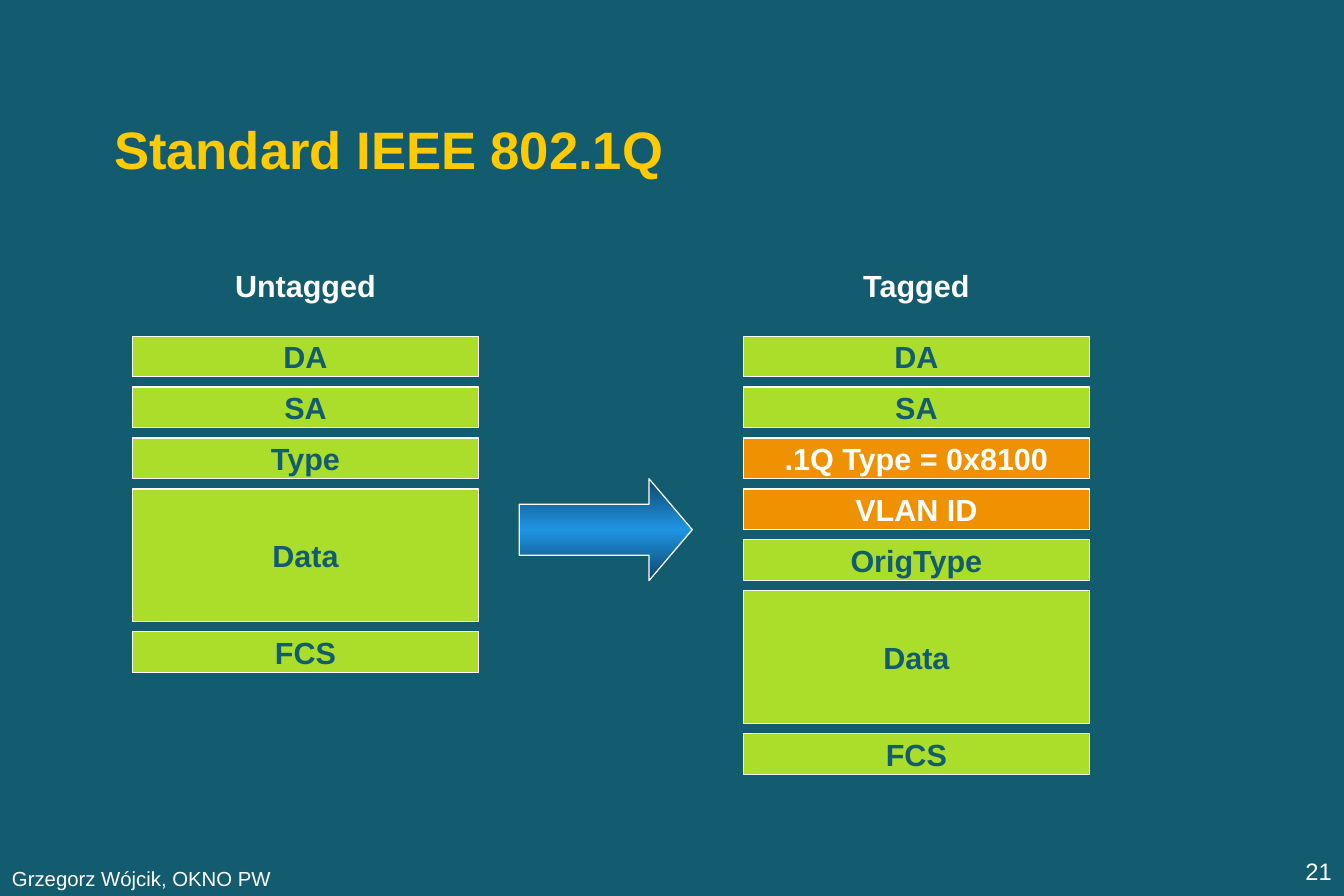
import copy
from dataclasses import dataclass

import pptx
import pptx.dml.color
import pptx.enum.shapes
import pptx.enum.text
import pptx.oxml.ns
import pptx.util

SHAPE = pptx.enum.shapes.MSO_SHAPE
ALIGN = pptx.enum.text.PP_ALIGN
WIDTH, HEIGHT = 11, 7.33
COLUMNS = 132
FIELD_WIDTH, FIELD_HEIGHT, DATA_HEIGHT, FIELD_GAP = 34, 4, 13, 1
HEADING_ROW, FIRST_FIELD_ROW = 26, 33


@dataclass(frozen=True)
class Theme:
    font: str = "Arial"
    background: str = "135C6F"
    title: str = "FFCA00"
    light: str = "FFFFFF"
    field: str = "ABDE2A"
    tag: str = "EF9100"
    arrow_edge: str = "0E456A"
    arrow_middle: str = "1F95E4"
    title_size: int = 31
    label_size: int = 18
    number_size: int = 14
    footer_size: int = 12
    line_width: float = 0.75


def rgb(value):
    return pptx.dml.color.RGBColor.from_string(value)


class FrameSlide:
    """Draws Ethernet frame layouts on a grid of 132 columns across the slide."""

    def __init__(self, presentation, theme):
        self.theme = theme
        self.cell = presentation.slide_width / COLUMNS
        self.slide = presentation.slides.add_slide(presentation.slide_layouts[5])
        background = self.slide.background.fill
        background.solid()
        background.fore_color.rgb = rgb(theme.background)

    def place(self, *cells):
        return [round(self.cell * count) for count in cells]

    def label(self, shape, text, size, color, align, bold=False, wrap=True, inset=0.1):
        frame = shape.text_frame
        frame.text = text
        frame.word_wrap = wrap
        frame.auto_size = pptx.enum.text.MSO_AUTO_SIZE.NONE
        frame.vertical_anchor = pptx.enum.text.MSO_ANCHOR.MIDDLE
        frame.margin_left = frame.margin_right = pptx.util.Inches(inset)
        frame.margin_top = frame.margin_bottom = pptx.util.Inches(0.05)
        paragraph = frame.paragraphs[0]
        paragraph.alignment = align
        font = paragraph.runs[0].font
        font.name, font.size, font.bold = self.theme.font, pptx.util.Pt(size), bold
        font.color.rgb = rgb(color)
        return paragraph

    def title(self, text, *cells):
        holder = self.slide.shapes.title
        holder.left, holder.top, holder.width, holder.height = self.place(*cells)
        paragraph = self.label(holder, text, self.theme.title_size, self.theme.title,
                               ALIGN.LEFT, bold=True)
        paragraph.line_spacing = 0.95

    def text(self, text, cells, size, align, **style):
        box = self.slide.shapes.add_textbox(*self.place(*cells))
        self.label(box, text, size, self.theme.light, align, **style)

    def outlined(self, preset, *cells):
        shape = self.slide.shapes.add_shape(preset, *self.place(*cells))
        shape.shadow.inherit = False
        shape.line.color.rgb = rgb(self.theme.light)
        shape.line.width = pptx.util.Pt(self.theme.line_width)
        return shape

    def field(self, text, column, row, height, tagged):
        theme = self.theme
        field = self.outlined(SHAPE.RECTANGLE, column, row, FIELD_WIDTH, height)
        field.fill.solid()
        field.fill.fore_color.rgb = rgb(theme.tag if tagged else theme.field)
        self.label(field, text, theme.label_size,
                   theme.light if tagged else theme.background,
                   ALIGN.CENTER, bold=True, inset=0.09)

    def frame(self, heading, column, fields, tags=()):
        self.text(heading, (column, HEADING_ROW, FIELD_WIDTH, FIELD_HEIGHT),
                  self.theme.label_size, ALIGN.CENTER, bold=True, inset=0.09)
        row = FIRST_FIELD_ROW
        for name in fields:
            height = DATA_HEIGHT if name == "Data" else FIELD_HEIGHT
            self.field(name, column, row, height, name in tags)
            row += height + FIELD_GAP

    def arrow(self, *cells):
        arrow = self.outlined(SHAPE.RIGHT_ARROW, *cells)
        arrow.adjustments[0], arrow.adjustments[1] = 0.5, 0.425
        arrow.fill.gradient()
        arrow.fill.gradient_angle = 90
        stops = arrow.element.spPr.find(".//" + pptx.oxml.ns.qn("a:gsLst"))
        stops.insert(1, copy.deepcopy(stops[0]))
        edge, middle = self.theme.arrow_edge, self.theme.arrow_middle
        for stop, position, color in zip(arrow.fill.gradient_stops,
                                         (0, 0.5, 1), (edge, middle, edge)):
            stop.position = position
            stop.color.rgb = rgb(color)


def main():
    presentation = pptx.Presentation()
    presentation.slide_width = pptx.util.Inches(WIDTH)
    presentation.slide_height = pptx.util.Inches(HEIGHT)
    theme = Theme()
    slide = FrameSlide(presentation, theme)

    slide.text("Grzegorz Wójcik, OKNO PW", (0, 84.5, 21.6, 3.5),
               theme.footer_size, ALIGN.LEFT, wrap=False)
    slide.text("21", (108, 83.5, 24, 4), theme.number_size, ALIGN.RIGHT)
    slide.title("Standard IEEE 802.1Q", 10, 11.4, 112, 7)

    tags = (".1Q Type = 0x8100", "VLAN ID")
    slide.frame("Untagged", 13, ("DA", "SA", "Type", "Data", "FCS"))
    slide.frame("Tagged", 73, ("DA", "SA", *tags, "OrigType", "Data", "FCS"), tags)
    slide.arrow(51, 47, 17, 10)

    presentation.save("out.pptx")


if __name__ == "__main__":
    main()
